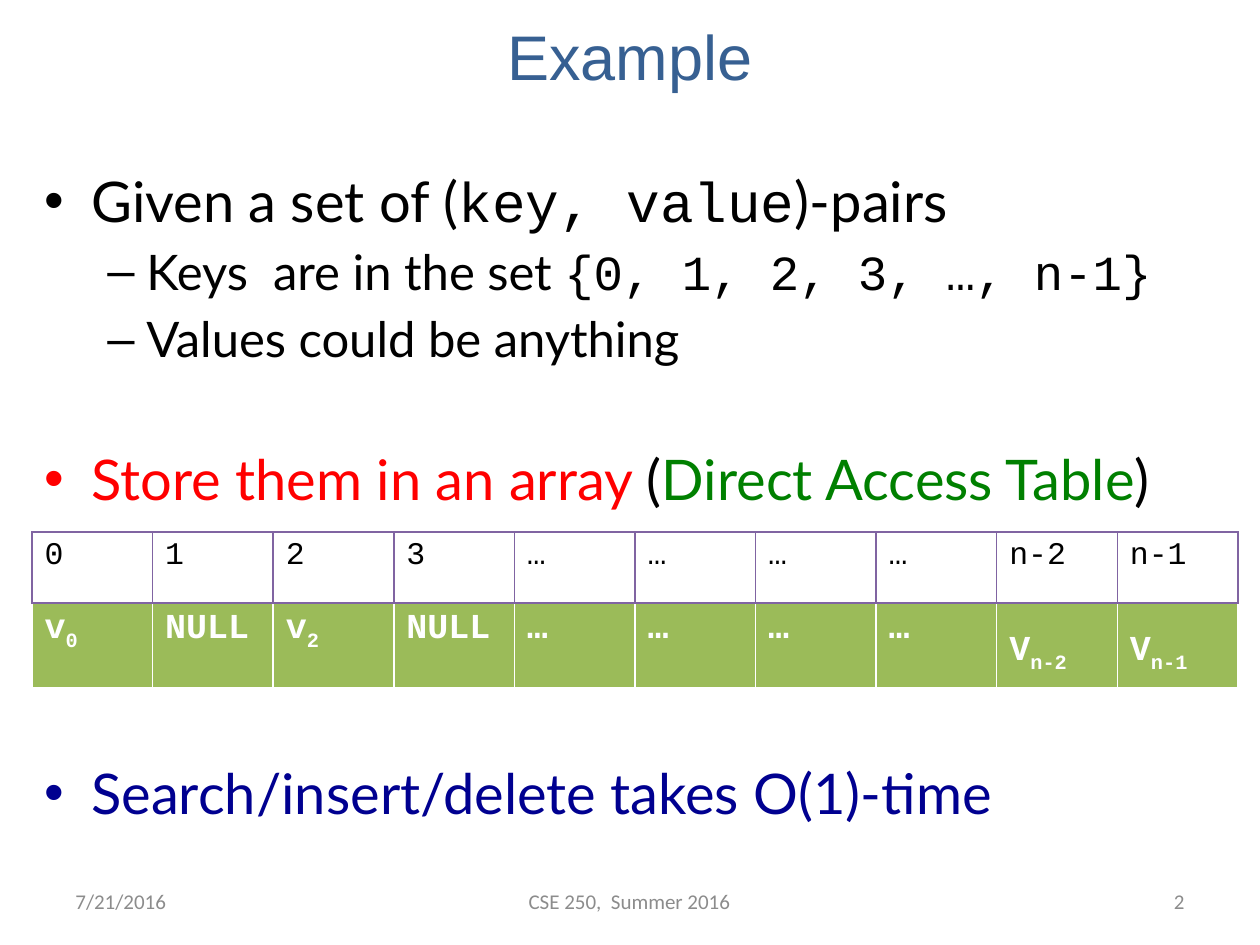
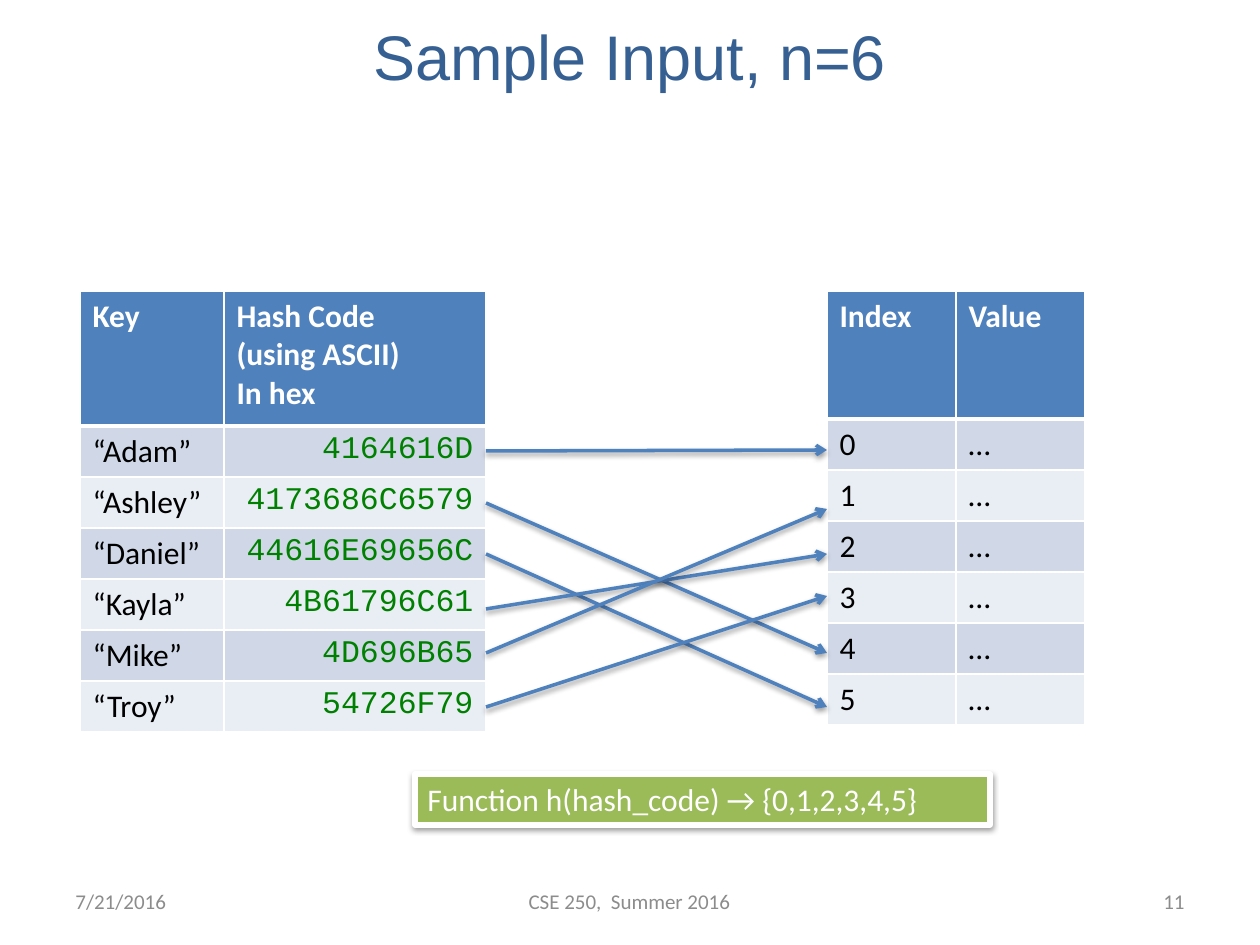
from lxml.etree import SubElement
from pptx import Presentation
from pptx.dml.color import RGBColor
from pptx.enum.shapes import MSO_CONNECTOR as Connector, MSO_SHAPE as Shape
from pptx.enum.text import MSO_ANCHOR as Anchor, PP_ALIGN as Align
from pptx.oxml.ns import qn
from pptx.util import Pt

PX = 914400 / 126
WIDTH, HEIGHT = 1260, 945

WHITE, BLACK = "FFFFFF", "000000"
TITLE_BLUE, FOOTER_GRAY = "376092", "8C8C8C"
RED, GREEN, NAVY = "FF0000", "008000", "000090"
HEADER_BLUE, LEAF, PURPLE = "4F81BD", "9BBB59", "8064A2"
BANDS = ("D0D8E8", "E9EDF4")
SANS, BODY, TITLE, CODE = "Calibri", "Lato", "Arial", "Courier New"


def emu(px):
    return round(px * PX)


def rgb(value):
    return RGBColor.from_string(value)


# --- text ---

def add_run(para, words, size, face, color, bold=False, subscript=False):
    run = para.add_run()
    run.text = words
    font = run.font
    font.size, font.name, font.bold = Pt(size), face, bold
    font.color.rgb = rgb(color)
    if subscript:
        run._r.get_or_add_rPr().set("baseline", "-25000")


def add_text_frame(slide, box, anchor=Anchor.TOP):
    frame = slide.shapes.add_textbox(*map(emu, box)).text_frame
    frame.word_wrap = True
    frame.vertical_anchor = anchor
    return frame


def add_line(slide, box, words, size, face, color, align):
    para = add_text_frame(slide, box, Anchor.MIDDLE).paragraphs[0]
    para.alignment = align
    add_run(para, words, size, face, color)


def set_bullet(para, mark, left, hang):
    props = para._p.get_or_add_pPr()
    props.set("marL", str(emu(left)))
    props.set("indent", str(-emu(hang)))
    SubElement(props, qn("a:buFont"), typeface="Arial")
    SubElement(props, qn("a:buChar"), char=mark)


# --- tables and effects ---

def add_grid(slide, left, top, columns, rows):
    """Plain table; columns and rows are lists of px."""
    frame = slide.shapes.add_table(len(rows), len(columns), emu(left), emu(top),
                                   emu(sum(columns)), emu(sum(rows)))
    table = frame.table
    table.first_row = table.horz_banding = False
    for column, width in zip(table.columns, columns):
        column.width = emu(width)
    for row, height in zip(table.rows, rows):
        row.height = emu(height)
    return table


def style_cell(cell, fill, border, top=1, bottom=1):
    if fill:
        cell.fill.solid()
        cell.fill.fore_color.rgb = rgb(fill)
    else:
        cell.fill.background()
    props = cell._tc.get_or_add_tcPr()
    sides = (("L", 1), ("R", 1), ("T", top), ("B", bottom))
    for place, (side, points) in enumerate(sides):
        edge = SubElement(props, qn("a:ln" + side), w=str(Pt(points)))
        paint = SubElement(edge, qn("a:solidFill"))
        SubElement(paint, qn("a:srgbClr"), val=border)
        props.insert(place, edge)


def add_soft_shadow(shape):
    props = shape._element.spPr
    effects = props.find(qn("a:effectLst"))
    if effects is None:
        effects = SubElement(props, qn("a:effectLst"))
    shadow = SubElement(effects, qn("a:outerShdw"), blurRad="40000", dist="20000",
                        dir="5400000", rotWithShape="0")
    color = SubElement(shadow, qn("a:srgbClr"), val=BLACK)
    SubElement(color, qn("a:alpha"), val="38000")


# --- shared frame of both slides ---

def add_slide(deck, title, number):
    slide = deck.slides.add_slide(deck.slide_layouts[6])
    add_line(slide, (0, 9, WIDTH, 92), title, 36, TITLE, TITLE_BLUE, Align.CENTER)
    footers = ((63, 294, "7/21/2016", Align.LEFT),
               (368, 523, "CSE 250,  Summer 2016", Align.CENTER),
               (903, 294, number, Align.RIGHT))
    for left, width, words, align in footers:
        add_line(slide, (left, 876, width, 50), words, 12, SANS, FOOTER_GRAY, align)
    return slide


# --- slide 1: direct access table ---

def add_outline(slide, box):
    # level, space before in points, runs of (words, face, color)
    points = (
        (0, 0, (("Given a set of (", BODY, BLACK), ("key, value", CODE, BLACK),
                (")-pairs", BODY, BLACK))),
        (1, 4.7, (("Keys  are in the set ", BODY, BLACK),
                  ("{0, 1, 2, 3, …, n-1}", CODE, BLACK))),
        (1, 4.7, (("Values could be anything", BODY, BLACK),)),
        (0, 43.8, (("Store them in an array ", BODY, RED), ("(", BODY, BLACK),
                   ("Direct Access Table", BODY, GREEN), (")", BODY, BLACK))),
        (0, 141, (("Search/insert/delete takes O(1)-time", BODY, NAVY),)),
    )
    levels = ((32, "•", 47, 47), (28, "–", 102, 39))
    frame = add_text_frame(slide, box)
    for i, (level, gap, runs) in enumerate(points):
        para = frame.add_paragraph() if i else frame.paragraphs[0]
        size, mark, left, hang = levels[level]
        para.level = level
        para.space_before = Pt(gap)
        set_bullet(para, mark, left, hang)
        for words, face, color in runs:
            add_run(para, words, size, face, color)


def add_direct_access_table(slide, left, top, width):
    dots = ["…"] * 4
    indexes = ["0", "1", "2", "3", *dots, "n-2", "n-1"]
    # value and its subscript
    values = [("v", "0"), ("NULL", ""), ("v", "2"), ("NULL", ""),
              *((dot, "") for dot in dots), ("V", "n-2"), ("V", "n-1")]
    columns = [width / len(indexes)] * len(indexes)
    index_height, value_height = 71, 86

    value_row = add_grid(slide, left, top + index_height, columns, [value_height])
    for cell, (name, sub) in zip(value_row.iter_cells(), values):
        style_cell(cell, LEAF, WHITE, bottom=3)
        para = cell.text_frame.paragraphs[0]
        if name == "V":
            para.line_spacing = 1.5
        add_run(para, name, 20, CODE, WHITE, bold=True)
        if sub:
            add_run(para, sub, 20, CODE, WHITE, bold=True, subscript=True)

    index_row = add_grid(slide, left, top, columns, [index_height])
    for cell, index in zip(index_row.iter_cells(), indexes):
        style_cell(cell, None, PURPLE)
        add_run(cell.text_frame.paragraphs[0], index, 18, CODE, BLACK)


def build_example(deck):
    slide = add_slide(deck, "Example", "2")
    add_outline(slide, (32, 160, 1206, 684))
    add_direct_access_table(slide, 32, 532, 1206)


# --- slide 2: hashing of sample keys ---

def add_banded_table(slide, left, top, columns, header_height, headers, records,
                     code_column=None):
    """Each header is a list of paragraphs, each a list of lines."""
    table = add_grid(slide, left, top, columns, [header_height] + [51] * len(records))
    for c, paragraphs in enumerate(headers):
        cell = table.cell(0, c)
        style_cell(cell, HEADER_BLUE, WHITE, bottom=3)
        frame = cell.text_frame
        for i, lines in enumerate(paragraphs):
            para = frame.add_paragraph() if i else frame.paragraphs[0]
            for j, line in enumerate(lines):
                if j:
                    para.add_line_break()
                add_run(para, line, 18, SANS, WHITE, bold=True)
    for r, record in enumerate(records):
        for c, entry in enumerate(record):
            cell = table.cell(r + 1, c)
            style_cell(cell, BANDS[r % 2], WHITE, top=1 if r else 3)
            para = cell.text_frame.paragraphs[0]
            if c == code_column:
                para.alignment = Align.RIGHT
                add_run(para, entry, 18, CODE, GREEN)
            else:
                add_run(para, entry, 18, SANS, BLACK)


def add_mapping_arrows(slide, left, top, width):
    # start at a key, end at its index, both measured from the top
    for start, end in ((0, -1), (52, 202), (103, 256), (158, 103), (202, 58), (256, 145)):
        arrow = slide.shapes.add_connector(
            Connector.STRAIGHT, emu(left), emu(top + start),
            emu(left + width), emu(top + end))
        arrow.line.color.rgb = rgb(HEADER_BLUE)
        arrow.line.width = Pt(2)
        SubElement(arrow.line._get_or_add_ln(), qn("a:tailEnd"), type="arrow")
        add_soft_shadow(arrow)


def add_function_label(slide, box):
    label = slide.shapes.add_shape(Shape.RECTANGLE, *map(emu, box))
    label.shadow.inherit = False
    label.fill.solid()
    label.fill.fore_color.rgb = rgb(LEAF)
    label.line.color.rgb = rgb(WHITE)
    label.line.width = Pt(3)
    add_soft_shadow(label)
    frame = label.text_frame
    frame.word_wrap = True
    frame.vertical_anchor = Anchor.TOP
    para = frame.paragraphs[0]
    para.alignment = Align.LEFT
    add_run(para, "Function h(hash_code) → {0,1,2,3,4,5}", 18, SANS, WHITE)


def build_sample_input(deck):
    slide = add_slide(deck, "Sample Input, n=6", "11")
    hash_codes = (("“Adam”", "4164616D"), ("“Ashley”", "4173686C6579"),
                  ("“Daniel”", "44616E69656C"), ("“Kayla”", "4B61796C61"),
                  ("“Mike”", "4D696B65"), ("“Troy”", "54726F79"))
    add_banded_table(slide, 80, 291, [144, 262], 135,
                     [[["Key"]], [["Hash Code", "(using ASCII)"], ["In hex"]]],
                     hash_codes, code_column=1)
    add_banded_table(slide, 827, 291, [129, 129], 128, [[["Index"]], [["Value"]]],
                     [(str(i), "…") for i in range(len(hash_codes))])
    add_mapping_arrows(slide, 486, 451, 341)
    add_function_label(slide, (415, 774, 575, 51))


def main():
    deck = Presentation()
    deck.slide_width, deck.slide_height = emu(WIDTH), emu(HEIGHT)
    build_example(deck)
    build_sample_input(deck)
    deck.save("out.pptx")


if __name__ == "__main__":
    main()
